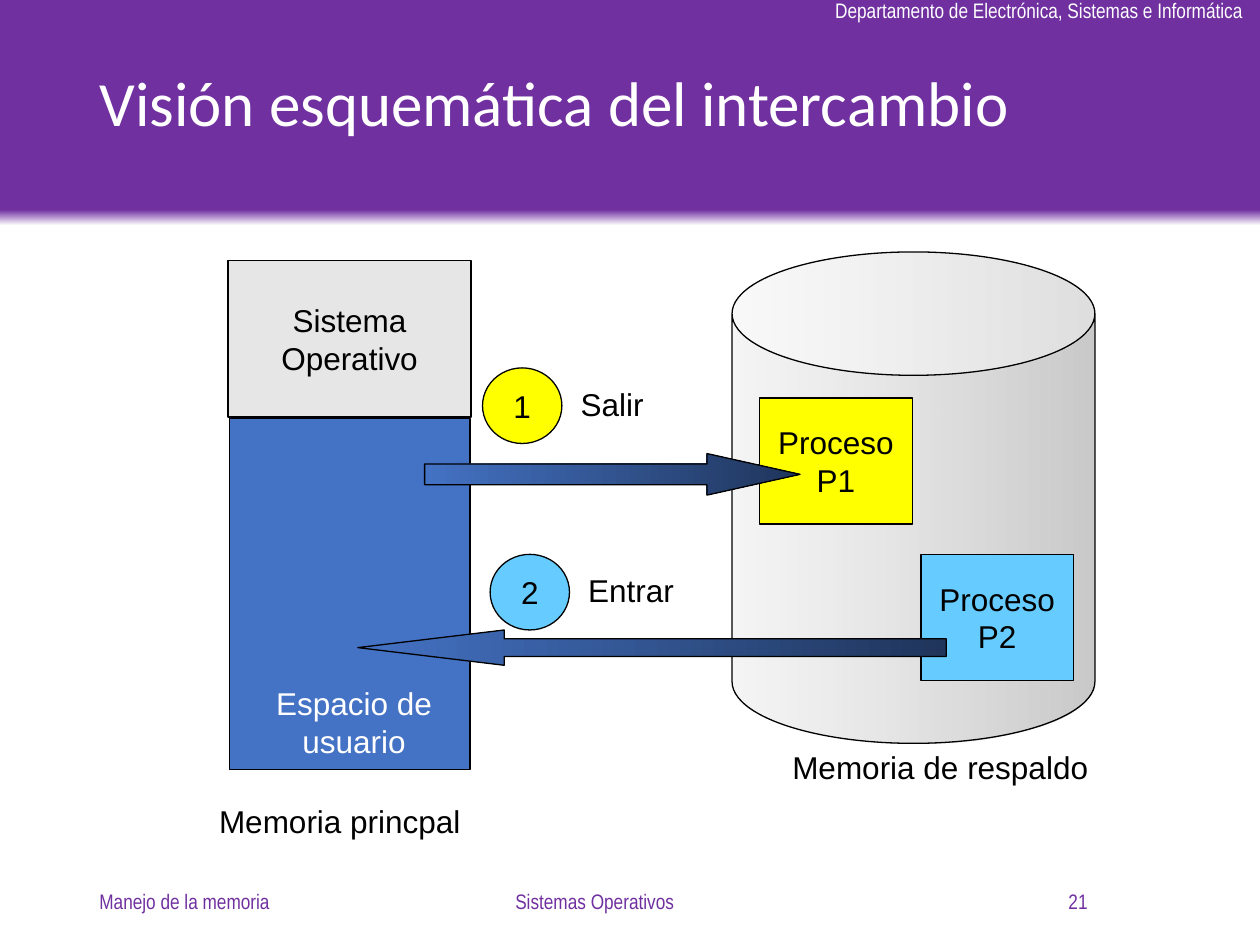
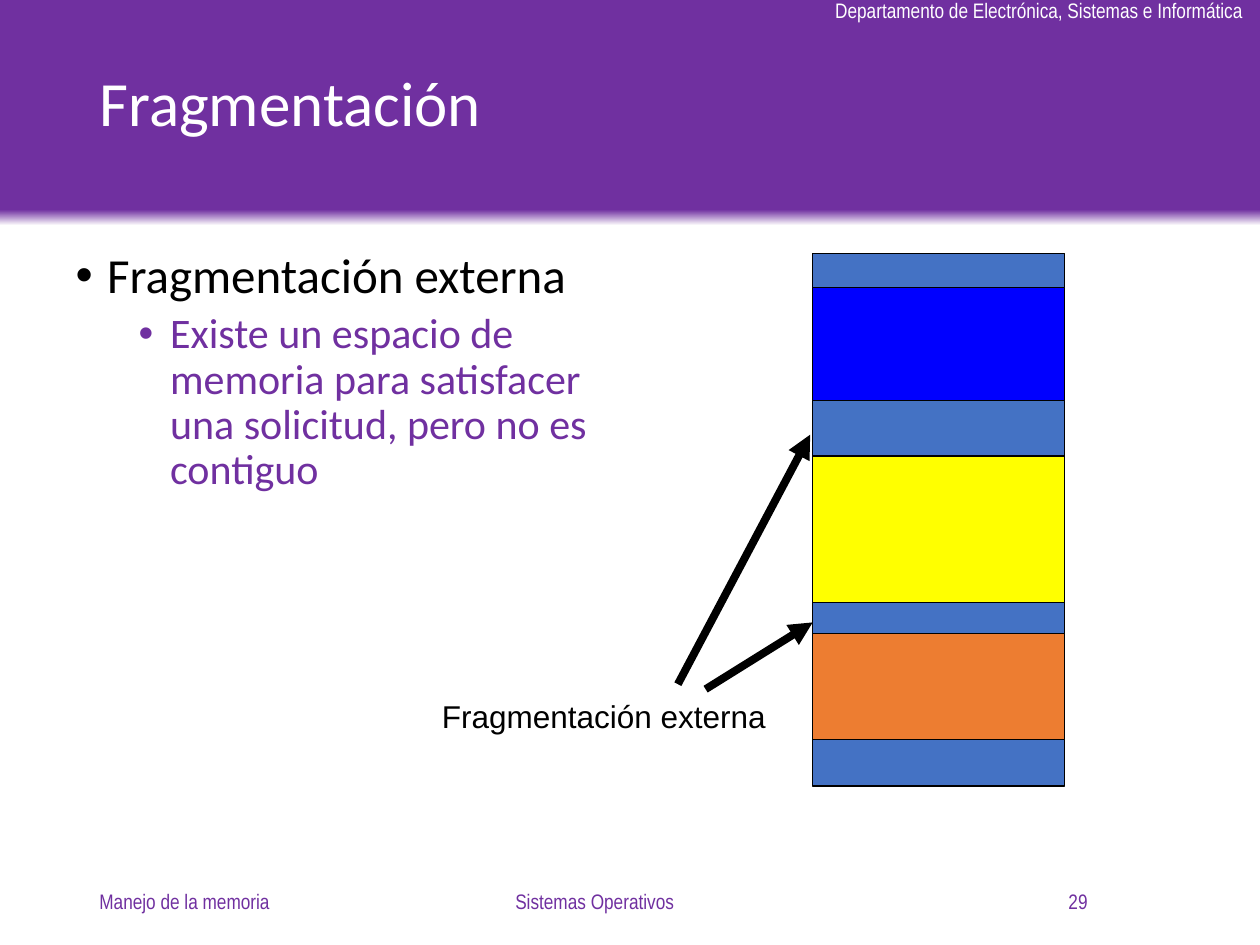
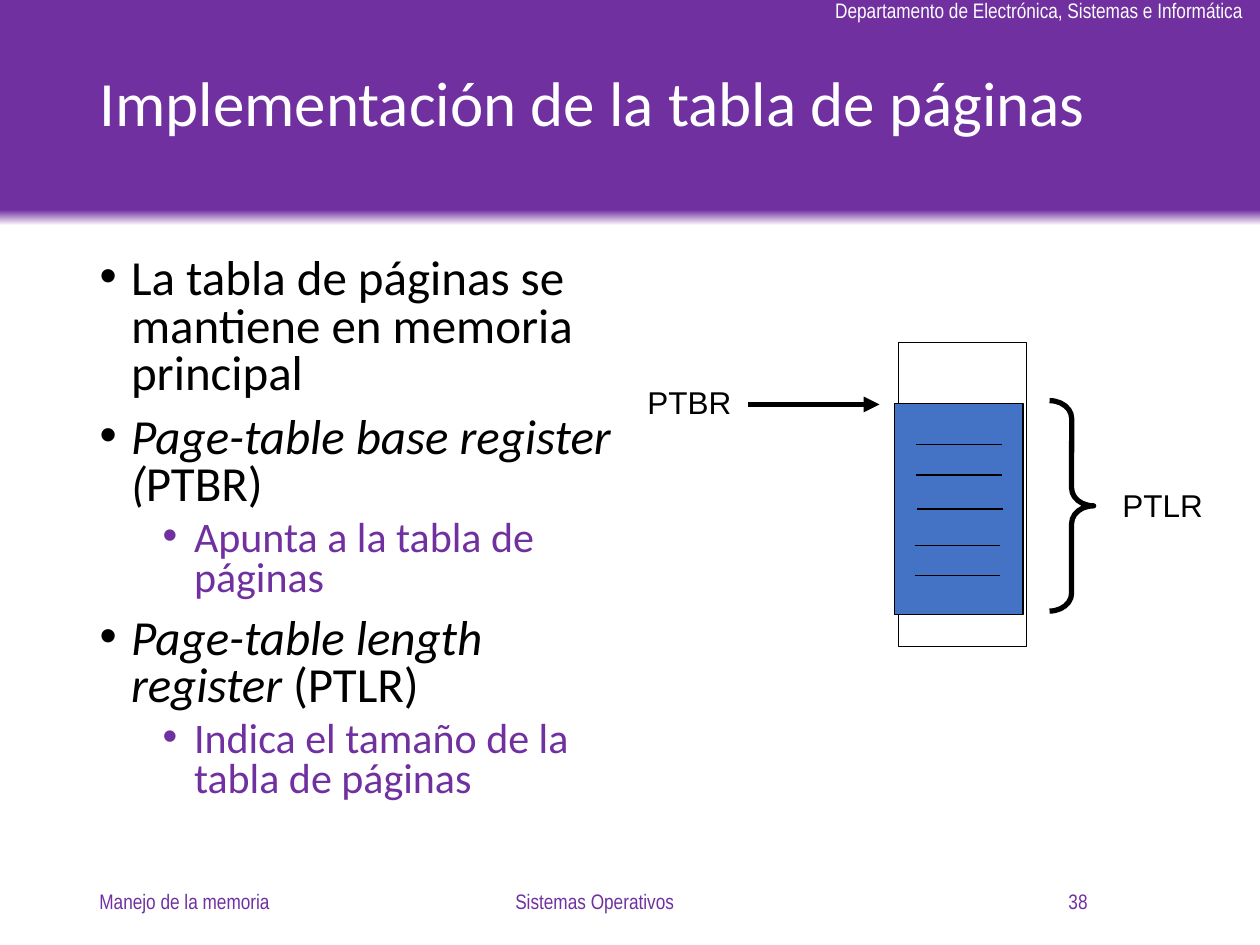
from dataclasses import dataclass

from lxml import etree
from pptx import Presentation
from pptx.dml.color import RGBColor
from pptx.enum import shapes as kinds, text as txt
from pptx.oxml.ns import qn
from pptx.util import Inches, Pt

PURPLE, WHITE, BLACK = "7030A0", "FFFFFF", "000000"
BLUE, NAVY, YELLOW, SKY = "4472C4", "1F355B", "FFFF00", "66CCFF"
LIGHT, GREY, ORANGE, DEEP = "E7E6E6", "A5A5A5", "ED7D31", "0000FF"
KIND = kinds.MSO_SHAPE
LEFT, MID, RIGHT = txt.PP_ALIGN.LEFT, txt.PP_ALIGN.CENTER, txt.PP_ALIGN.RIGHT
TITLED, LISTED = 5, 1


@dataclass(frozen=True)
class Font:
    name: str = "Arial"
    size: float = 18
    color: str = BLACK


@dataclass(frozen=True)
class Box:
    """A preset shape; grad is a pair of colours running left to right."""
    at: tuple
    kind: KIND = KIND.RECTANGLE
    fill: str = ""
    grad: tuple = ()
    alpha: tuple = ()
    adj: tuple = ()
    line: float = 0.75
    lines: tuple = ()
    wrap: bool = False


@dataclass(frozen=True)
class Label:
    at: tuple
    lines: tuple
    font: Font = Font()
    align: txt.PP_ALIGN = LEFT
    wrap: bool = False
    grow: bool = True


@dataclass(frozen=True)
class Line:
    start: tuple
    end: tuple
    width: float = 0.75
    arrow: bool = False


@dataclass(frozen=True)
class Item:
    """A list entry; each run is (text, italic)."""
    runs: tuple
    level: int = 0


HEAD = Font("Calibri", 36, WHITE)
SMALL = Font("Arial Narrow", 12, PURPLE)
LEVELS = (Font("Calibri", 28), Font("Calibri", 24, PURPLE))


def rgb(color: str) -> RGBColor:
    return RGBColor.from_string(color)


def inch(nums: tuple) -> list:
    return [Inches(n) for n in nums]


def place(shape, at: tuple) -> None:
    shape.left, shape.top, shape.width, shape.height = inch(at)


def add_run(para, words: str, font: Font, italic: bool = False) -> None:
    run = para.add_run()
    run.text = words
    run.font.name, run.font.size = font.name, Pt(font.size)
    run.font.color.rgb = rgb(font.color)
    if italic:
        run.font.italic = True


def write(frame, lines: tuple, font: Font, align: txt.PP_ALIGN) -> None:
    for n, words in enumerate(lines):
        para = frame.add_paragraph() if n else frame.paragraphs[0]
        para.alignment = align
        add_run(para, words, font)


def blend(shape, colors: tuple, spots: tuple, angle: float, alpha: tuple = ()) -> None:
    """Fill with two colours at the given spots, each with its opacity in percent."""
    shape.fill.gradient()
    shape.fill.gradient_angle = angle
    for stop, color, spot in zip(shape.fill.gradient_stops, colors, spots):
        stop.color.rgb, stop.position = rgb(color), spot
    for node, part in zip(shape.element.spPr.iter(qn("a:srgbClr")), alpha):
        etree.SubElement(node, qn("a:alpha")).set("val", str(part * 1000))


def add_box(slide, box: Box):
    shape = slide.shapes.add_shape(box.kind, *inch(box.at))
    shape.shadow.inherit = False
    for n, value in enumerate(box.adj):
        shape.adjustments[n] = value
    if box.grad:
        blend(shape, box.grad, (0, 1), 0, box.alpha)
    elif box.fill:
        shape.fill.solid()
        shape.fill.fore_color.rgb = rgb(box.fill)
    else:
        shape.fill.background()
    shape.line.color.rgb, shape.line.width = rgb(BLACK), Pt(box.line)
    if box.lines:
        frame = shape.text_frame
        frame.word_wrap = box.wrap
        frame.vertical_anchor = txt.MSO_ANCHOR.MIDDLE
        write(frame, box.lines, Font(), MID)
    return shape


def add_label(slide, label: Label):
    shape = slide.shapes.add_textbox(*inch(label.at))
    frame = shape.text_frame
    frame.word_wrap = label.wrap
    if label.grow:
        frame.auto_size = txt.MSO_AUTO_SIZE.SHAPE_TO_FIT_TEXT
    else:
        frame.vertical_anchor = txt.MSO_ANCHOR.MIDDLE
    write(frame, label.lines, label.font, label.align)
    return shape


def add_line(slide, line: Line) -> None:
    link = slide.shapes.add_connector(
        kinds.MSO_CONNECTOR.STRAIGHT, *inch(line.start + line.end))
    link.line.color.rgb, link.line.width = rgb(BLACK), Pt(line.width)
    if line.arrow:
        etree.SubElement(link.line._get_or_add_ln(), qn("a:tailEnd")).set("type", "triangle")
    etree.SubElement(link.element.spPr, qn("a:effectLst"))


DRAW = {Box: add_box, Label: add_label, Line: add_line}


def draw(slide, parts: list) -> None:
    for part in parts:
        DRAW[type(part)](slide, part)


def add_list(slide, at: tuple, items: list, gap: float) -> None:
    body = slide.placeholders[1]
    place(body, at)
    frame = body.text_frame
    frame.auto_size = txt.MSO_AUTO_SIZE.NONE
    for n, item in enumerate(items):
        para = frame.add_paragraph() if n else frame.paragraphs[0]
        para.level, para.line_spacing = item.level, gap
        para.space_before = Pt(5 if item.level else 10)
        props = para._p.get_or_add_pPr()
        props.set("marL", str(Inches(0.25 + 0.5 * item.level)))
        props.set("indent", str(Inches(-0.25)))
        etree.SubElement(props, qn("a:buChar")).set("char", "•")
        for words, italic in item.runs:
            add_run(para, words, LEVELS[item.level], italic)


def add_slide(prs, layout: int, title: str, page: int):
    slide = prs.slides.add_slide(prs.slide_layouts[layout])
    head = slide.shapes.title
    place(head, (0.69, 0.15, 8.62, 1.39))
    frame = head.text_frame
    frame.auto_size = txt.MSO_AUTO_SIZE.NONE
    frame.vertical_anchor = txt.MSO_ANCHOR.MIDDLE
    write(frame, (title,), HEAD, LEFT)
    frame.paragraphs[0].line_spacing = 0.9
    for left, width, words, align in (
            (0.69, 2.25, "Manejo de la memoria", LEFT),
            (3.03, 3.38, "Sistemas Operativos", MID),
            (6.48, 2.25, str(page), RIGHT)):
        add_label(slide, Label((left, 6.95, width, 0.4), (words,), SMALL, align, True, False))
    return slide


def set_master(prs, slide) -> None:
    """Draw the band and its caption, then move them to the slide master."""
    band = add_box(slide, Box((0, 0, 10, 1.79)))
    blend(band, (WHITE, PURPLE), (0, 0.07), 90)
    band.line.fill.background()
    note = add_label(slide, Label(
        (6.53, -0.07, 3.48, 0.3), ("Departamento de Electrónica, Sistemas e Informática",),
        Font("Arial Narrow", 12, WHITE)))
    tree = prs.slide_master.element.cSld.spTree
    for n, shape in enumerate((band, note)):
        tree.insert(2 + n, shape.element)


def swap(prs):
    slide = add_slide(prs, TITLED, "Visión esquemática del intercambio", 21)
    draw(slide, [
        Box((1.82, 3.32, 1.91, 2.79), fill=BLUE),
        Box((1.81, 2.07, 1.93, 1.24), fill=LIGHT, lines=("Sistema Operativo",), wrap=True),
        Box((5.81, 2, 2.88, 3.9), KIND.CAN, grad=(LIGHT, GREY), alpha=(40, 60), adj=(0.34,)),
        Label((2.09, 5.38, 1.44, 0.7), ("Espacio de", "usuario"), Font(color=WHITE), MID),
        Box((6.03, 3.16, 1.21, 1), fill=YELLOW, lines=("Proceso", "P1")),
        Box((7.31, 4.4, 1.21, 1), fill=SKY, lines=("Proceso", "P2")),
        Box((3.37, 3.6, 2.98, 0.33), KIND.RIGHT_ARROW, grad=(BLUE, NAVY), adj=(0.5, 2.24)),
        Box((2.84, 5, 4.67, 0.28), KIND.LEFT_ARROW, grad=(BLUE, NAVY), adj=(0.5, 4.15)),
        Label((1.64, 6.32, 2.12, 0.4), ("Memoria princpal",)),
        Label((6.19, 5.89, 2.56, 0.4), ("Memoria de respaldo",), wrap=True),
        Box((3.83, 2.92, 0.63, 0.6), KIND.OVAL, YELLOW, lines=("1",)),
        Box((3.89, 4.4, 0.63, 0.6), KIND.OVAL, SKY, lines=("2",)),
        Label((4.51, 3.01, 0.7, 0.4), ("Salir",)),
        Label((4.57, 4.48, 0.88, 0.4), ("Entrar",)),
    ])
    return slide


def gaps(prs) -> None:
    slide = add_slide(prs, LISTED, "Fragmentación", 29)
    add_list(slide, (0.5, 1.94, 4.35, 4.3), [
        Item((("Fragmentación externa", False),)),
        Item((("Existe un espacio de memoria para satisfacer una solicitud, "
               "pero no es contiguo", False),), 1),
    ], 0.9)
    blocks = ((2.01, 4.23, BLUE), (2.28, 0.9, DEEP), (3.62, 1.16, YELLOW), (5.03, 0.84, ORANGE))
    draw(slide, [Box((6.45, top, 2, tall), fill=color) for top, tall, color in blocks])
    draw(slide, [
        Line((5.38, 5.43), (6.43, 3.45), 4.5, True),
        Line((5.6, 5.47), (6.45, 4.94), 4.5, True),
        Label((3.41, 5.48, 2.77, 0.4), ("Fragmentación externa",)),
    ])


def pages(prs) -> None:
    slide = add_slide(prs, LISTED, "Implementación de la tabla de páginas", 38)
    add_list(slide, (0.69, 2, 4.28, 4.76), [
        Item((("La tabla de páginas se mantiene en memoria principal", False),)),
        Item((("Page-table base register (", True), ("PTBR)", False))),
        Item((("Apunta a la tabla de páginas", False),), 1),
        Item((("Page-table length register", True), (" (PTLR)", False))),
        Item((("Indica el tamaño de la tabla de páginas", False),), 1),
    ], 0.8)
    draw(slide, [
        Box((7.13, 2.72, 1.02, 2.41)),
        Box((7.1, 3.2, 1.02, 1.68), fill=BLUE),
    ])
    rows = ((7.27, 3.53), (7.27, 3.77), (7.28, 4.04), (7.26, 4.33), (7.26, 4.57))
    draw(slide, [Line((left, top), (left + 0.68, top)) for left, top in rows])
    draw(slide, [
        Box((8.33, 3.18, 0.35, 1.67), KIND.RIGHT_BRACE, adj=(0.4, 0.5), line=3),
        Label((8.81, 3.81, 0.84, 0.4), ("PTLR",)),
        Line((5.94, 3.21), (6.98, 3.21), 3, True),
        Label((5.04, 2.99, 0.87, 0.4), ("PTBR",)),
    ])


def main() -> None:
    prs = Presentation()
    prs.slide_width, prs.slide_height = inch((10, 7.5))
    set_master(prs, swap(prs))
    gaps(prs)
    pages(prs)
    prs.save("out.pptx")


if __name__ == "__main__":
    main()
